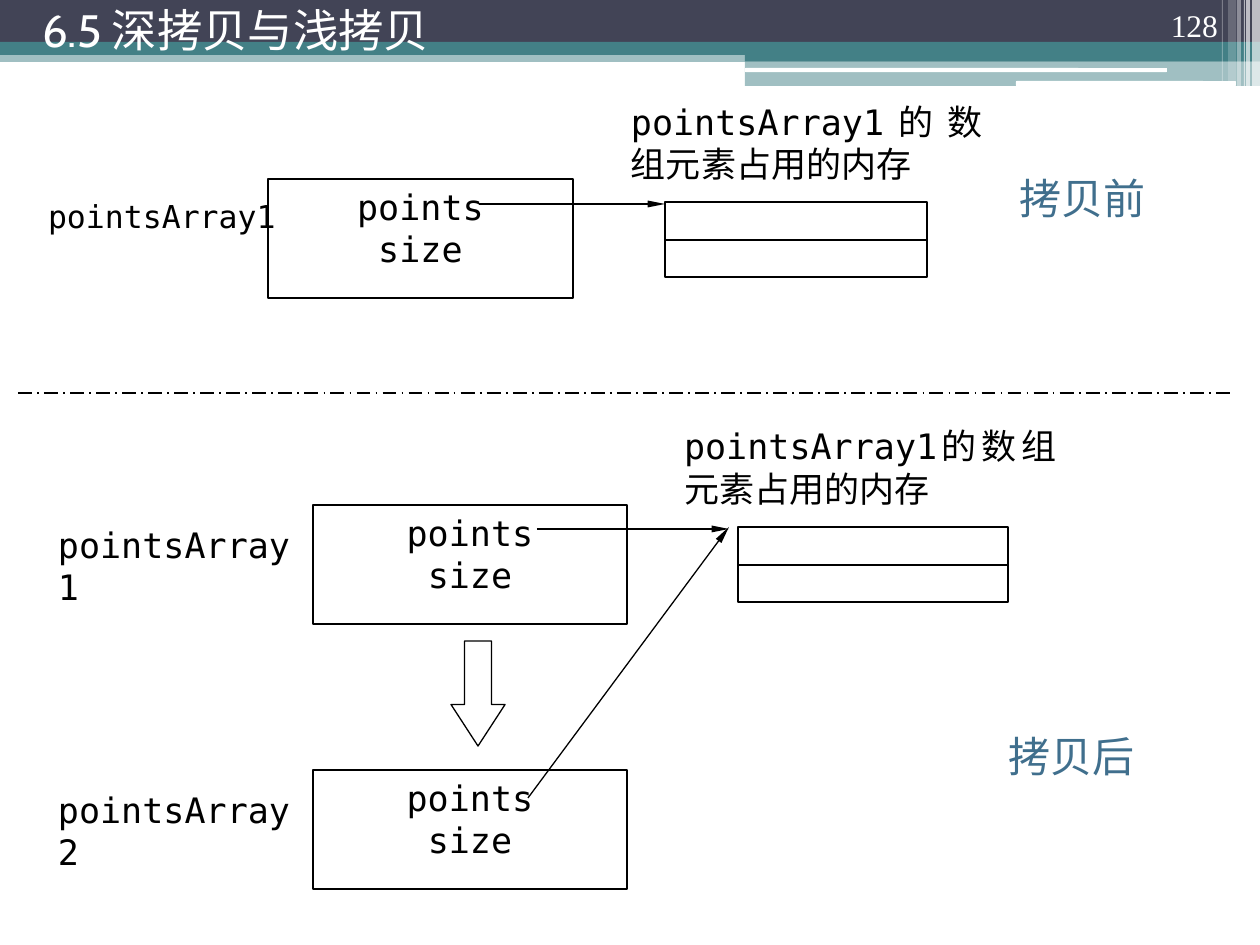
from dataclasses import dataclass

from lxml import etree
from pptx import Presentation
from pptx.dml.color import RGBColor
from pptx.enum.dml import MSO_LINE
from pptx.enum.shapes import MSO_CONNECTOR, MSO_SHAPE
from pptx.enum.text import MSO_ANCHOR, MSO_AUTO_SIZE, PP_ALIGN
from pptx.oxml.ns import qn
from pptx.util import Pt

EMU_PER_PX = 914400 / 126
TITLE_ONLY = 5
RECT, ROUNDED, DOWN_ARROW = MSO_SHAPE.RECTANGLE, MSO_SHAPE.ROUNDED_RECTANGLE, MSO_SHAPE.DOWN_ARROW
STRAIGHT, DASH_DOT = MSO_CONNECTOR.STRAIGHT, MSO_LINE.LONG_DASH_DOT
TOP, MIDDLE, BOTTOM = MSO_ANCHOR.TOP, MSO_ANCHOR.MIDDLE, MSO_ANCHOR.BOTTOM
LEFT, CENTER, RIGHT, JUSTIFY = PP_ALIGN.LEFT, PP_ALIGN.CENTER, PP_ALIGN.RIGHT, PP_ALIGN.JUSTIFY
NO_FIT = MSO_AUTO_SIZE.NONE


@dataclass(frozen=True)
class Theme:
    white: str = "FFFFFF"
    black: str = "000000"
    navy: str = "424456"
    teal: str = "438086"
    blue: str = "406F8D"
    title_font: str = "Cabin"
    serif_font: str = "Times New Roman"
    code_font: str = "DejaVu Sans Mono"
    title_size: float = 25.9
    caption_size: float = 24
    code_size: float = 20
    small_size: float = 18
    thin: float = 0.75
    divider: float = 1


def px(*lengths):
    return [round(length * EMU_PER_PX) for length in lengths]


def apply(target, values):
    for name, value in values.items():
        setattr(target, name, value)


class SlideBuilder:
    def __init__(self, slide, theme):
        self.slide = slide
        self.shapes = slide.shapes
        self.theme = theme

    def fill_text(self, shape, lines, font, size, color, align=LEFT, anchor=TOP, inset=(0, 0)):
        side, edge = px(*inset)
        frame = shape.text_frame
        apply(frame, {
            "word_wrap": True, "auto_size": NO_FIT, "vertical_anchor": anchor,
            "margin_left": side, "margin_right": side,
            "margin_top": edge, "margin_bottom": edge,
        })
        frame.text = "\n".join(lines)
        for paragraph in frame.paragraphs:
            paragraph.alignment = align
            apply(paragraph.font, {"name": font, "size": Pt(size)})
            paragraph.font.color.rgb = RGBColor.from_string(color)

    def text(self, box, line, font, size, color, **style):
        shape = self.shapes.add_textbox(*px(*box))
        self.fill_text(shape, [line], font, size, color, **style)

    def title(self, box, line):
        shape = self.shapes.title
        apply(shape, dict(zip(("left", "top", "width", "height"), px(*box))))
        theme = self.theme
        self.fill_text(shape, [line], theme.title_font, theme.title_size, theme.white,
                       anchor=MIDDLE, inset=(13, 6))
        shape.element.getparent().append(shape.element)

    def bar(self, box, color, opacity=100, kind=RECT):
        shape = self.shapes.add_shape(kind, *px(*box))
        shape.shadow.inherit = False
        shape.line.fill.background()
        shape.fill.solid()
        shape.fill.fore_color.rgb = RGBColor.from_string(color)
        if opacity < 100:
            for node in shape.element.spPr.iter(qn("a:srgbClr")):
                etree.SubElement(node, qn("a:alpha"), val=str(opacity * 1000))

    def outline(self, box, kind=RECT, adjustments=()):
        shape = self.shapes.add_shape(kind, *px(*box))
        shape.shadow.inherit = False
        shape.fill.background()
        shape.line.width = Pt(self.theme.thin)
        shape.line.color.rgb = RGBColor.from_string(self.theme.black)
        for index, value in enumerate(adjustments):
            shape.adjustments[index] = value
        return shape

    def line(self, ends, width, dash=None, arrow=False):
        connector = self.shapes.add_connector(STRAIGHT, *px(*ends))
        connector.line.color.rgb = RGBColor.from_string(self.theme.black)
        apply(connector.line, {"width": Pt(width), "dash_style": dash})
        properties = connector.element.spPr
        if arrow:
            etree.SubElement(properties.find(qn("a:ln")), qn("a:tailEnd"),
                             type="triangle", w="sm", len="lg")
        etree.SubElement(properties, qn("a:effectLst"))

    def code(self, box, line, size=None):
        theme = self.theme
        self.text(box, line, theme.code_font, size or theme.code_size, theme.black, align=JUSTIFY)

    def caption(self, box, line):
        theme = self.theme
        self.text(box, line, theme.serif_font, theme.caption_size, theme.blue,
                  align=CENTER, inset=(13, 0))

    def record(self, box):
        theme = self.theme
        self.fill_text(self.outline(box), ["points", "size"], theme.code_font, theme.code_size,
                       theme.black, align=CENTER, inset=(0, 6))

    def memory(self, box, note_box):
        left, top, width, height = box
        middle = top + height // 2 + 1
        self.outline(box)
        self.line((left, middle, left + width, middle), self.theme.thin)
        self.code(note_box, "pointsArray1的数组元素占用的内存")

    def pointer(self, *ends):
        self.line(ends, self.theme.thin, arrow=True)


def draw_header(builder):
    theme = builder.theme
    for box, color, opacity in (
        ((0, 50, 1260, 12), theme.teal, 50),
        ((0, 0, 1260, 42), theme.navy, 100),
        ((0, 42, 1260, 13), theme.teal, 100),
        ((745, 49, 515, 12), theme.teal, 100),
        ((745, 61, 515, 25), theme.teal, 50),
    ):
        builder.bar(box, color, opacity)
    for box in ((745, 68, 422, 4), (1016, 81, 220, 5)):
        builder.bar(box, theme.white, kind=ROUNDED)
    for left, width, height, opacity in (
        (1252, 8, 86, 65), (1246, 4, 86, 65), (1244, 1, 86, 60),
        (1237, 4, 86, 40), (1228, 8, 81, 20), (1222, 1, 81, 30),
    ):
        builder.bar((left, 0, width, height), theme.white, opacity)
    builder.text((1126, 0, 105, 50), "128", theme.serif_font, theme.small_size, theme.white,
                 align=RIGHT, anchor=BOTTOM, inset=(13, 6))
    builder.title((29, 0, 908, 59), "6.5 深拷贝与浅拷贝")


def draw_before(builder):
    builder.caption((951, 173, 263, 54), "拷贝前")
    builder.memory((665, 202, 262, 75), (631, 100, 352, 97))
    builder.pointer(479, 204, 665, 204)
    builder.record((268, 179, 305, 119))
    builder.code((48, 197, 258, 45), "pointsArray1", builder.theme.small_size)


def draw_after(builder):
    builder.caption((940, 730, 263, 54), "拷贝后")
    for number, top in ((1, 505), (2, 770)):
        builder.record((313, top, 314, 119))
        builder.code((58, top + 18, 251, 46), f"pointsArray{number}")
    builder.memory((738, 527, 270, 75), (684, 425, 372, 97))
    builder.pointer(537, 529, 729, 529)
    builder.pointer(528, 798, 729, 527)
    builder.outline((451, 641, 54, 105), DOWN_ARROW, (0.5, 0.768))


def main():
    presentation = Presentation()
    presentation.slide_width, presentation.slide_height = px(1260, 945)
    slide = presentation.slides.add_slide(presentation.slide_layouts[TITLE_ONLY])
    builder = SlideBuilder(slide, Theme())
    draw_header(builder)
    draw_before(builder)
    draw_after(builder)
    builder.line((18, 393, 1235, 393), builder.theme.divider, dash=DASH_DOT)
    presentation.save("out.pptx")


if __name__ == "__main__":
    main()
